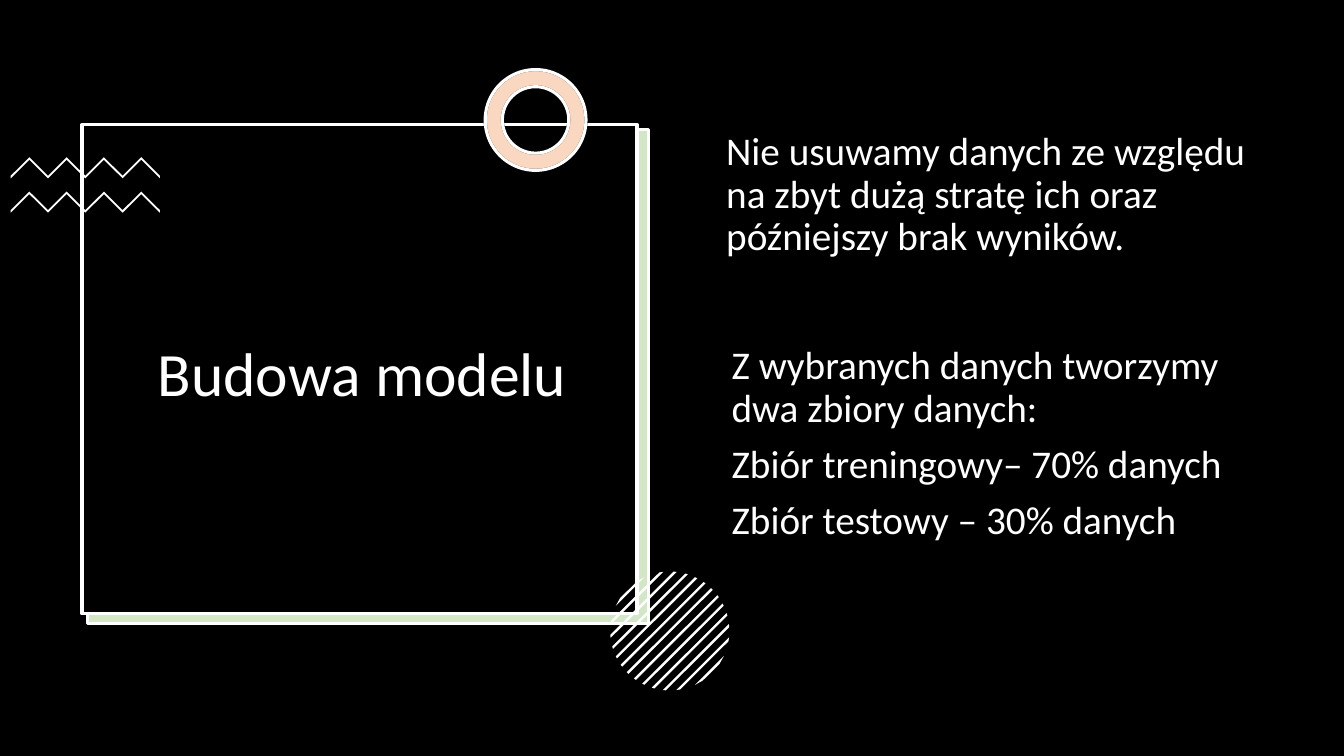
from collections import namedtuple
from math import sqrt

from lxml.etree import SubElement
from pptx import Presentation
from pptx.dml.color import RGBColor
from pptx.enum.shapes import MSO_SHAPE as Preset
from pptx.enum.text import MSO_ANCHOR as Anchor, MSO_AUTO_SIZE as AutoSize, PP_ALIGN as Align
from pptx.oxml.ns import qn
from pptx.util import Inches, Pt

BLACK = RGBColor(0x00, 0x00, 0x00)
WHITE = RGBColor(0xFF, 0xFF, 0xFF)
GREEN = RGBColor(0x70, 0xAD, 0x47)
ORANGE = RGBColor(0xED, 0x7D, 0x31)

WIDTH, HEIGHT = Inches(13.33), Inches(7.5)
COLUMN, ROW = WIDTH / 100, HEIGHT / 100
TINT = 30
OUTLINE = Pt(2.25)
FONT = {"name": "Calibri"}
HEADING = {"size": Pt(44), "alignment": Align.CENTER, "space_before": Pt(0)}
BODY = {"size": Pt(28), "alignment": Align.LEFT, "space_before": Pt(10)}

Box = namedtuple("Box", "left top width height")


def grid(left, top, columns, rows):
    return Box(*(round(v) for v in (left * COLUMN, top * ROW, columns * COLUMN, rows * ROW)))


def part(box, left, top, width, height):
    return Box(round(box.left + left * box.width), round(box.top + top * box.height),
               round(width * box.width), round(height * box.height))


def paint(shape, color, line=None, opacity=100):
    shape.shadow.inherit = False
    shape.fill.solid()
    shape.fill.fore_color.rgb = color
    if opacity < 100:
        tone = shape.fill._xPr.find(qn("a:solidFill"))[0]
        SubElement(tone, qn("a:alpha"), val=str(opacity * 1000))
    if line is None:
        shape.line.fill.background()
    else:
        shape.line.color.rgb = line
        shape.line.width = OUTLINE
    return shape


def outline(shapes, box, points):
    start, *rest = [(round(box.left + x * box.width), round(box.top + y * box.height))
                    for x, y in points]
    builder = shapes.build_freeform(*start)
    builder.add_line_segments(rest, close=True)
    paint(builder.convert_to_shape(), WHITE)


def write(frame, paragraphs, style, anchor):
    settings = {"word_wrap": True, "auto_size": AutoSize.NONE, "vertical_anchor": anchor}
    for key, value in settings.items():
        setattr(frame, key, value)
    frame.text = "\n".join(paragraphs)
    for paragraph in frame.paragraphs:
        paragraph.line_spacing = 0.9
        paragraph.font.color.rgb = WHITE
        for key, value in {**FONT, **style}.items():
            setattr(paragraph.font if key in ("name", "size") else paragraph, key, value)


def title_card(slide, box, heading):
    offset = part(box, 0.01, 0.01, 1.01, 1.01)
    for place, color, line, opacity in (
            (offset, WHITE, None, 100), (offset, GREEN, WHITE, TINT), (box, BLACK, WHITE, 100)):
        paint(slide.shapes.add_shape(Preset.RECTANGLE, *place), color, line, opacity)
    title = slide.shapes.title
    for key, value in part(box, 0.02, 0.06, 0.97, 0.91)._asdict().items():
        setattr(title, key, value)
    write(title.text_frame, [heading], HEADING, Anchor.MIDDLE)
    title.element.getparent().append(title.element)


def zigzags(slide, box):
    group = slide.shapes.add_group_shape()
    upper = [(i / 8, 0 if i % 2 else 0.88) for i in range(9)]
    lower = [(x, y + 0.12) for x, y in reversed(upper)]
    for top in (0, 0.62):
        outline(group.shapes, part(box, 0, top, 1, 0.38), upper + lower)


def ring(slide, box):
    for color, line, opacity in ((WHITE, BLACK, 100), (ORANGE, WHITE, TINT)):
        donut = slide.shapes.add_shape(Preset.DONUT, *box)
        donut.adjustments[0] = 0.17
        paint(donut, color, line, opacity)


def chord(distance):
    half = sqrt(1 - distance ** 2)
    return [(0.5 + (distance + side) / sqrt(8), 0.5 + (distance - side) / sqrt(8))
            for side in (half, -half)]


def hatched_circle(slide, box):
    group = slide.shapes.add_group_shape()
    for stripe in range(-6, 7):
        middle = 0.16 * stripe
        outline(group.shapes, box, chord(middle - 0.02) + chord(middle + 0.02)[::-1])


def statement(slide, box, paragraphs):
    frame = slide.shapes.add_textbox(*box).text_frame
    write(frame, paragraphs, BODY, Anchor.TOP)


def model_slide(deck):
    slide = deck.slides.add_slide(deck.slide_layouts.get_by_name("Title Only"))
    slide.background.fill.solid()
    slide.background.fill.fore_color.rgb = BLACK
    title_card(slide, grid(6.1, 16.5, 41.3, 64.7), "Budowa modelu")
    zigzags(slide, grid(0.8, 20.8, 11.1, 7.33))
    ring(slide, grid(36.1, 9.2, 7.5, 13.33))
    hatched_circle(slide, grid(45.4, 75.6, 8.87, 15.73))
    statement(slide, grid(53.7, 45.1, 40.8, 29.7), [
        "Z wybranych danych tworzymy dwa zbiory danych:",
        "Zbiór treningowy– 70% danych",
        "Zbiór testowy – 30% danych",
    ])
    statement(slide, grid(53.3, 16.8, 40.8, 24.5), [
        "Nie usuwamy danych ze względu na zbyt dużą stratę ich oraz późniejszy brak wyników.",
    ])


deck = Presentation()
deck.slide_width, deck.slide_height = WIDTH, HEIGHT
model_slide(deck)
deck.save("out.pptx")
